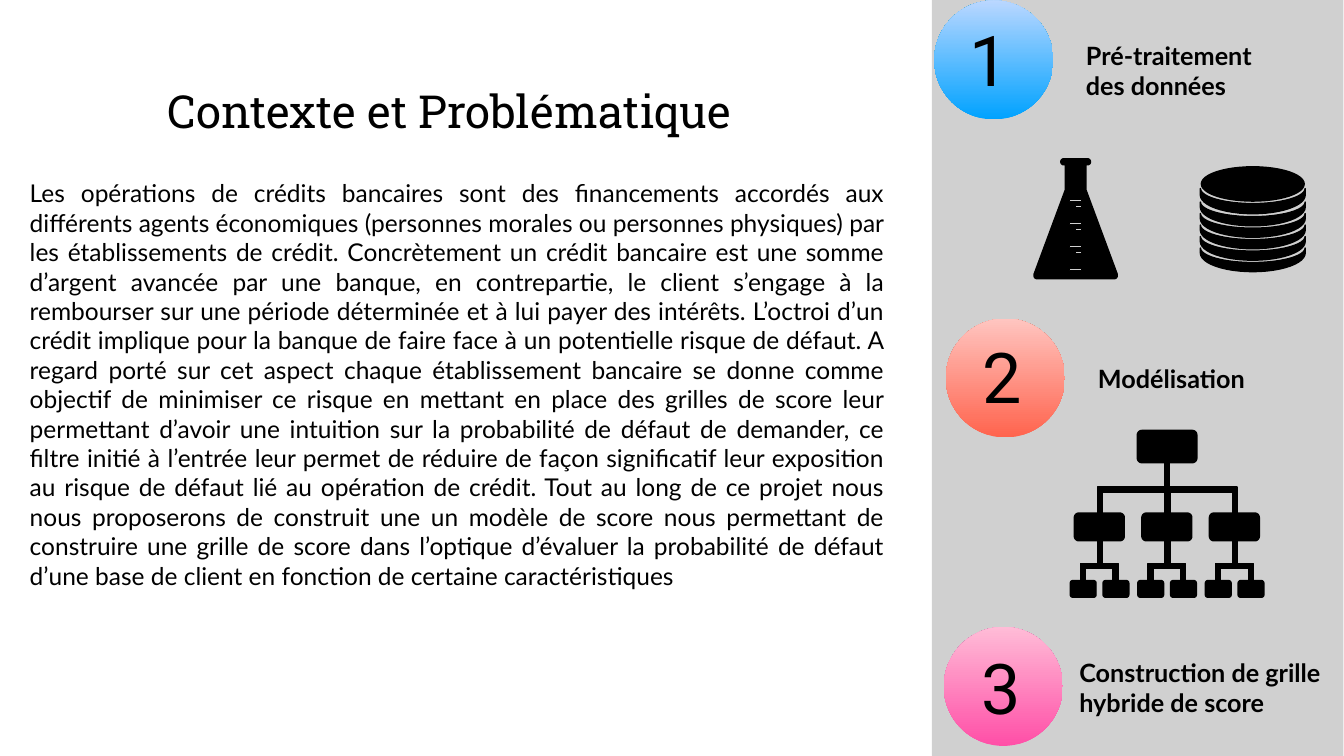
from math import cos, radians, sin

from pptx import Presentation
from pptx.dml.color import RGBColor
from pptx.enum.shapes import MSO_SHAPE
from pptx.enum.text import MSO_ANCHOR, MSO_AUTO_SIZE, PP_ALIGN
from pptx.util import Inches, Pt

RECT, OVAL = MSO_SHAPE.RECTANGLE, MSO_SHAPE.OVAL
LEFT, JUSTIFY = PP_ALIGN.LEFT, PP_ALIGN.JUSTIFY
TOP, MIDDLE = MSO_ANCHOR.TOP, MSO_ANCHOR.MIDDLE
GROW = MSO_AUTO_SIZE.SHAPE_TO_FIT_TEXT
rgb = RGBColor.from_string

SENTENCES = [
    "Les opérations de crédits bancaires sont des financements accordés aux "
    "différents agents économiques (personnes morales ou personnes physiques) par "
    "les établissements de crédit.",
    "Concrètement un crédit bancaire est une somme d’argent avancée par une banque, "
    "en contrepartie, le client s’engage à la rembourser sur une période déterminée "
    "et à lui payer des intérêts.",
    "L’octroi d’un crédit implique pour la banque de faire face à un potentielle "
    "risque de défaut.",
    "A regard porté sur cet aspect chaque établissement bancaire se donne comme "
    "objectif de minimiser ce risque en mettant en place des grilles de score leur "
    "permettant d’avoir une intuition sur la probabilité de défaut de demander, ce "
    "filtre initié à l’entrée leur permet de réduire de façon significatif leur "
    "exposition au risque de défaut lié au opération de crédit.",
    "Tout au long de ce projet nous nous proposerons de construit une un modèle de "
    "score nous permettant de construire une grille de score dans l’optique d’évaluer "
    "la probabilité de défaut d’une base de client en fonction de certaine "
    "caractéristiques",
]


def arc(cx, cy, rx, ry, start, end, steps=8):
    """Points along an ellipse, clockwise on screen from start to end degrees."""
    angles = [radians(start + (end - start) * i / steps) for i in range(steps + 1)]
    return [(cx + rx * cos(a), cy + ry * sin(a)) for a in angles]


def draw_icon(shapes, contours):
    """One black freeform made of closed contours given in inches."""
    contours = [[(Inches(x), Inches(y)) for x, y in c] for c in contours]
    builder = shapes.build_freeform(*contours[0][0])
    for i, points in enumerate(contours):
        if i:
            builder.move_to(*points[0])
        builder.add_line_segments(points[1:], close=True)
    icon = builder.convert_to_shape()
    icon.shadow.inherit = False
    icon.fill.solid()
    icon.fill.fore_color.rgb = rgb("000000")
    icon.line.color.rgb = rgb("000000")
    icon.line.width = Pt(2)


prs = Presentation()
prs.slide_width, prs.slide_height = Inches(26.67), Inches(15)
s = prs.slides.add_slide(prs.slide_layouts[6])

# Side panel
panel = s.shapes.add_shape(RECT, Inches(18.49), Inches(-0.02), Inches(8.17), Inches(15.04))
panel.shadow.inherit = False
panel.fill.solid()
panel.fill.fore_color.rgb = rgb("D0D0D0")
panel.line.fill.background()

# Text styles
body = dict(font="Lato", size=35, bold=False, inset=0.05, align=JUSTIFY, anchor=TOP)
title = dict(body, font="Roboto Slab", size=65, align=LEFT)
label = dict(body, size=36, bold=True, inset=0.1, align=LEFT)
digit = dict(title, font="Roboto", size=100, inset=0.06, anchor=MIDDLE)

texts = [
    (s.shapes, " ".join(SENTENCES), (0.54, 3.49, 17.06, 8.85), body),
    (s.shapes, "Contexte et Problématique", (3.28, 1.6, 12.93, 1), title),
]

# Numbered gradient circles with their step labels
steps = [
    ((18.54, 0.01), (19.17, 0.28), ("00A2FF", "BAD7FF"),
     "Pré-traitement des données", (21.45, 0.7, 4.26, 1.37)),
    ((18.77, 6.32), (19.43, 6.56), ("FF644E", "FFC5C0"),
     "Modélisation", (21.69, 7.11, 4.26, 0.78)),
    ((18.73, 12.44), (19.41, 12.73), ("FF4FA7", "FFBCD7"),
     "Construction de grille hybride de score", (21.32, 12.94, 5.46, 1.37)),
]
for number, (circle_at, digit_at, colors, name, name_box) in enumerate(steps, 1):
    group = s.shapes.add_group_shape()
    x, y = circle_at
    circle = group.shapes.add_shape(OVAL, Inches(x), Inches(y), Inches(2.36), Inches(2.36))
    circle.shadow.inherit = False
    circle.line.fill.background()
    circle.fill.gradient()
    circle.fill.gradient_angle = 90
    for stop, color in zip(circle.fill.gradient_stops, colors):
        stop.color.rgb = rgb(color)
    texts.append((group.shapes, str(number), (*digit_at, 1.13, 1.78), digit))
    texts.append((s.shapes, name, name_box, label))

# Text boxes
for shapes, text, box, style in texts:
    tf = shapes.add_textbox(*map(Inches, box)).text_frame
    inset = Inches(style["inset"])
    frame = dict(word_wrap=True, auto_size=GROW, vertical_anchor=style["anchor"],
                 margin_left=inset, margin_top=inset,
                 margin_right=inset, margin_bottom=inset)
    for key, value in frame.items():
        setattr(tf, key, value)
    p = tf.paragraphs[0]
    p.alignment = style["align"]
    r = p.add_run()
    r.text = text
    font = dict(name=style["font"], size=Pt(style["size"]), bold=style["bold"])
    for key, value in font.items():
        setattr(r.font, key, value)
    r.font.color.rgb = rgb("000000")

# Tree icon: x, y, width, height, corner radius of each part
parts = [
    (22.57, 8.54, 1.18, 0.64, 0.09),
    (23.11, 9.18, 0.1, 0.48, 0),
    (21.78, 9.66, 2.77, 0.1, 0),
]
for branch in range(3):
    dx = 1.34 * branch
    parts += [
        (21.78 + dx, 9.76, 0.1, 0.42, 0),
        (21.32 + dx, 10.18, 0.99, 0.55, 0.09),
        (21.78 + dx, 10.73, 0.1, 0.45, 0),
        (21.44 + dx, 11.18, 0.75, 0.1, 0),
    ]
    for leaf_dx in (dx, dx + 0.65):
        parts += [
            (21.44 + leaf_dx, 11.28, 0.1, 0.24, 0),
            (21.24 + leaf_dx, 11.52, 0.51, 0.33, 0.05),
        ]
tree = []
for x, y, w, h, rad in parts:
    corners = [(x + w - rad, y + h - rad), (x + rad, y + h - rad),
               (x + rad, y + rad), (x + w - rad, y + rad)]
    if rad:
        corners = [point for i, (cx, cy) in enumerate(corners)
                   for point in arc(cx, cy, rad, rad, 90 * i, 90 * i + 90)]
    tree.append(corners)
draw_icon(s.shapes, tree)

# Flask icon: outline, then the graduation marks cut out of it
flask = [
    arc(21.11, 3.21, 0.06, 0.06, 270, 90)
    + [(21.14, 3.27), (21.14, 3.77), (20.52, 5.44)]
    + arc(20.58, 5.47, 0.06, 0.06, 180, 90)
    + arc(22.11, 5.47, 0.06, 0.06, 90, 0)
    + [(22.17, 5.44), (21.55, 3.77), (21.55, 3.27)]
    + arc(21.58, 3.21, 0.06, 0.06, 90, -90)
]
for mark in range(13):
    x = 21.33 if mark % 4 else 21.22
    y = 3.96 + 1.37 * mark / 12
    flask.append([(x, y), (21.46, y), (21.46, y + 0.04), (x, y + 0.04)])
draw_icon(s.shapes, flask)

# Database icon: top disc, then curved bands below it
disks = [arc(24.86, 3.65, 1.02, 0.34, 0, 360, 48)]
bands = [(3.74, 0.13, 0.3)] + [(4.01 + 0.91 * i / 4, 0.1, 0.29) for i in range(5)]
for y, side, depth in bands:
    disks.append(arc(24.86, y, 1.04, depth, 0, 180, 24)
                 + arc(24.86, y + side, 1.04, 0.37, 180, 0, 24))
draw_icon(s.shapes, disks)

prs.save("out.pptx")
